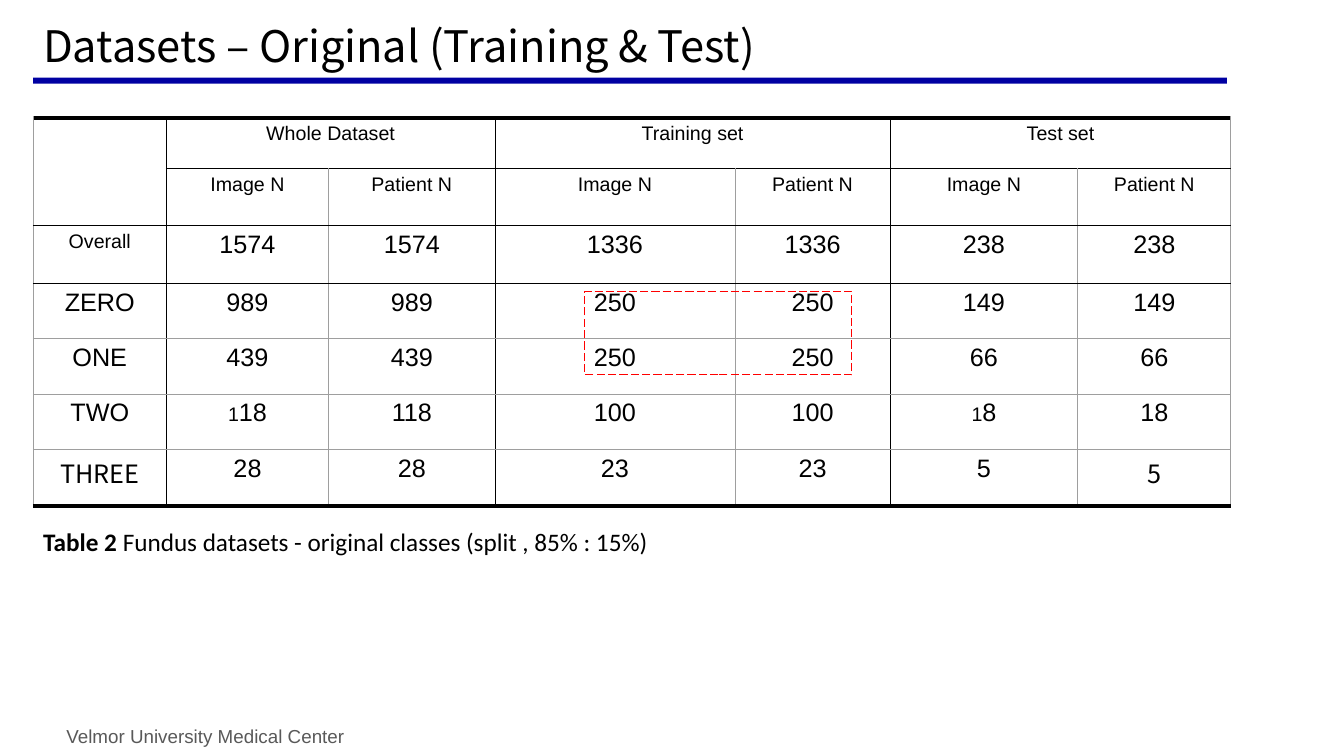
"""Build the slide that tabulates the fundus training and test datasets."""
from itertools import product

from lxml.etree import SubElement
from pptx import Presentation
from pptx.dml.color import RGBColor
from pptx.enum.dml import MSO_LINE
from pptx.enum.shapes import MSO_SHAPE
from pptx.enum.text import MSO_ANCHOR, PP_ALIGN
from pptx.oxml.ns import qn
from pptx.util import Inches, Pt

THEME = {
    "colors": {"ink": "000000", "grid": "9E9E9E", "rule": "0000A2",
               "footer": "595959", "highlight": "FF0000"},
    "text": {
        "title": ("Noto Sans CJK KR", 31, "ink", False),
        "caption": ("Calibri", 18, "ink", False),
        "caption label": ("Calibri", 18, "ink", True),
        "footer": ("Arial", 13.4, "footer", False),
        "heading": ("Arial", 14, "ink", False),
        "figure": ("Arial", 18, "ink", False),
        "korean": ("Noto Sans CJK KR", 18, "ink", False),
    },
    "borders": {"thin": ("grid", 0.74), "dark": ("ink", 0.74),
                "header": ("ink", 0.96), "thick": ("ink", 3)},
}

TITLE = [("Datasets – Original (Training & Test)", "title")]
CAPTION = [("Table 2", "caption label"),
           (" Fundus datasets - original classes (split , 85% : 15%)", "caption")]
FOOTER = [("Velmor University Medical Center", "footer")]

SETS = ["Whole Dataset", "Training set", "Test set"]
MEASURES = ["Image N", "Patient N"]
COUNTS = [
    ("Overall", 1574, 1574, 1336, 1336, 238, 238),
    ("ZERO", 989, 989, 250, 250, 149, 149),
    ("ONE", 439, 439, 250, 250, 66, 66),
    ("TWO", 118, 118, 100, 100, 18, 18),
    ("THREE", 28, 28, 23, 23, 5, 5),
]
SPECIAL_RUNS = {
    (2, 0): [("Overall", "heading")],
    (5, 1): [("1", "heading"), ("18", "figure")],
    (5, 5): [("1", "heading"), ("8", "figure")],
    (6, 0): [("THREE", "korean")],
    (6, 6): [("5", "korean")],
}
COLUMN_WIDTHS = [1.32, 1.61, 1.65, 2.38, 1.54, 1.86, 1.52]
ROW_HEIGHTS = [0.5, 0.57, 0.57, 0.55, 0.55, 0.55, 0.56]
COLUMN_EDGES = ["thin", "dark", "thin", "dark", "thin", "dark", "thin", "thin"]
ROW_EDGES = ["thick", "header", "dark", "dark", "thin", "thin", "thin", "thick"]
LEFT = 0.33


def color(name):
    return RGBColor.from_string(THEME["colors"][name])


def apply(target, **values):
    for name, value in values.items():
        setattr(target, name, value)


def write(paragraph, runs):
    for text, style in runs:
        family, size, ink, bold = THEME["text"][style]
        run = paragraph.add_run()
        run.text = text
        apply(run.font, name=family, size=Pt(size), bold=bold)
        run.font.color.rgb = color(ink)


def add_text(slide, box, runs, anchor=MSO_ANCHOR.TOP, spacing=1.0):
    frame = slide.shapes.add_textbox(*map(Inches, box)).text_frame
    apply(frame, word_wrap=True, vertical_anchor=anchor)
    frame.paragraphs[0].line_spacing = spacing
    write(frame.paragraphs[0], runs)


def add_rectangle(slide, box):
    rectangle = slide.shapes.add_shape(MSO_SHAPE.RECTANGLE, *map(Inches, box))
    rectangle.shadow.inherit = False
    return rectangle


def span_of(row, column):
    """Return the left, right, top and bottom grid edges around a cell."""
    if column == 0 and row < 2:
        return 0, 1, 0, 2
    if row == 0:
        start = column - (column - 1) % 2
        return start, start + 2, 0, 1
    return column, column + 1, row, row + 1


def add_borders(cell, row, column):
    left, right, top, bottom = span_of(row, column)
    edges = {"L": COLUMN_EDGES[left], "R": COLUMN_EDGES[right],
             "T": ROW_EDGES[top], "B": ROW_EDGES[bottom]}
    properties = cell._tc.get_or_add_tcPr()
    for side, edge in edges.items():
        ink, width = THEME["borders"][edge]
        line = SubElement(properties, qn(f"a:ln{side}"), w=str(int(Pt(width))))
        fill = SubElement(line, qn("a:solidFill"))
        SubElement(fill, qn("a:srgbClr"), val=THEME["colors"][ink])


def add_counts(slide):
    headings = [[""] + [text for name in SETS for text in (name, "")],
                [""] + MEASURES * len(SETS)]
    rows = headings + COUNTS
    box = (LEFT, 1.17, sum(COLUMN_WIDTHS), sum(ROW_HEIGHTS))
    table = slide.shapes.add_table(
        len(rows), len(COLUMN_WIDTHS), *map(Inches, box)).table
    apply(table, first_row=False, horz_banding=False)
    for column, width in zip(table.columns, COLUMN_WIDTHS):
        column.width = Inches(width)
    for row, height in zip(table.rows, ROW_HEIGHTS):
        row.height = Inches(height)
    for row, column in product(range(len(rows)), range(len(COLUMN_WIDTHS))):
        cell = table.cell(row, column)
        add_borders(cell, row, column)
        cell.fill.background()
        text = str(rows[row][column])
        if text:
            style = "heading" if row < len(headings) else "figure"
            paragraph = cell.text_frame.paragraphs[0]
            paragraph.alignment = PP_ALIGN.CENTER
            write(paragraph, SPECIAL_RUNS.get((row, column), [(text, style)]))
    table.cell(0, 0).merge(table.cell(1, 0))
    for column in range(1, len(COLUMN_WIDTHS), 2):
        table.cell(0, column).merge(table.cell(0, column + 1))


presentation = Presentation()
apply(presentation, slide_width=Inches(13.33), slide_height=Inches(7.5))
slide = presentation.slides.add_slide(presentation.slide_layouts[6])

add_text(slide, (0.56, 7.14, 3.43, 0.32), FOOTER)
title_rule = add_rectangle(slide, (LEFT, 0.77, 11.84, 0.06))
title_rule.fill.solid()
title_rule.fill.fore_color.rgb = color("rule")
title_rule.line.fill.background()
add_text(slide, (LEFT, 0.21, 12.67, 0.55), TITLE, MSO_ANCHOR.BOTTOM, 0.9)
add_counts(slide)
add_text(slide, (LEFT, 5.17, 9.29, 0.33), CAPTION)

balanced_classes = add_rectangle(slide, (5.8, 2.89, 2.65, 0.83))
balanced_classes.fill.background()
balanced_classes.line.color.rgb = color("highlight")
apply(balanced_classes.line, width=Pt(0.74), dash_style=MSO_LINE.LONG_DASH)

presentation.save("out.pptx")
